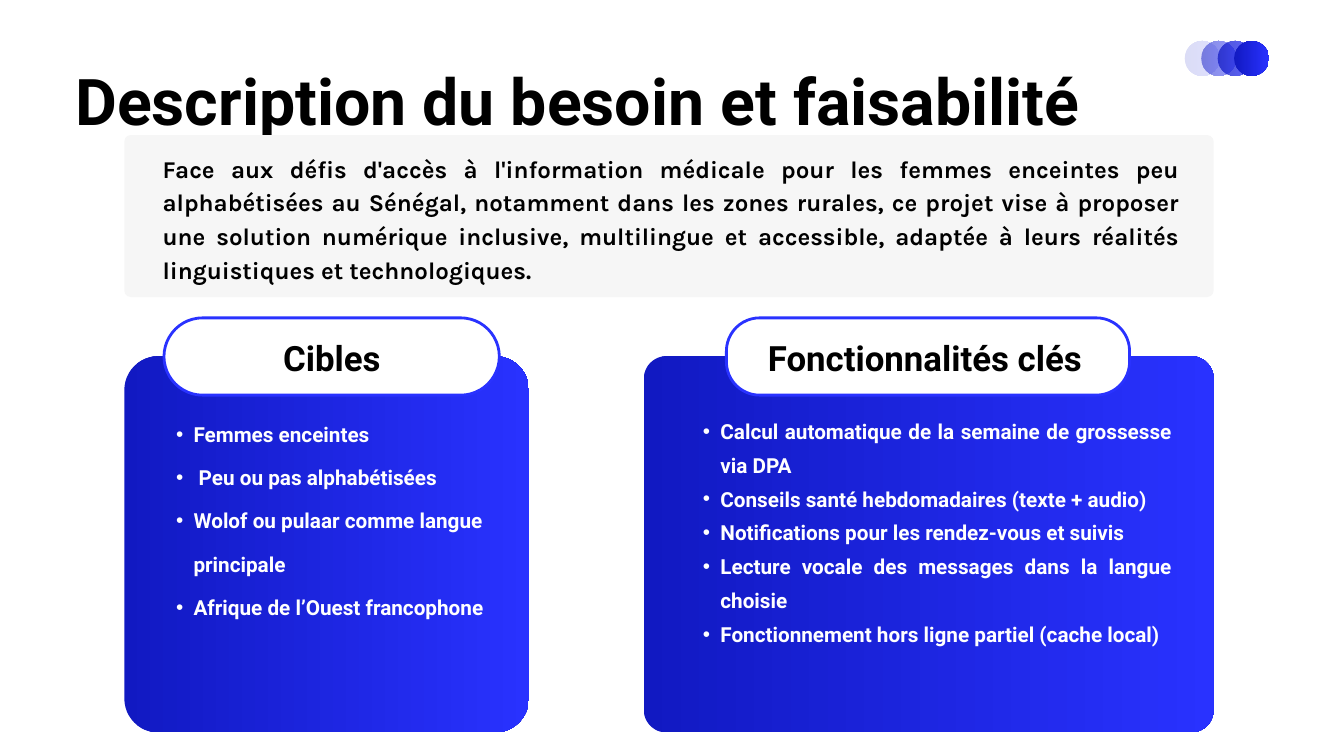
from lxml.etree import SubElement
from pptx import Presentation
from pptx.dml.color import RGBColor
from pptx.enum.shapes import MSO_SHAPE
from pptx.enum.text import MSO_ANCHOR, MSO_AUTO_SIZE, PP_ALIGN
from pptx.oxml.ns import qn
from pptx.util import Inches, Pt

HUES = {"navy": "1119C2", "blue": "2932FF", "white": "FFFFFF",
        "black": "000000", "grey": "F6F6F6"}


def draw(kind, box, hue=None, curve=None, alpha=100):
    """Add a shape with a flat fill, or the blue gradient if no hue is given."""
    shape = slide.shapes.add_shape(kind, *map(Inches, box))
    shape.shadow.inherit = False
    shape.line.fill.background()
    if curve is not None:
        shape.adjustments[0] = curve
    if hue:
        shape.fill.solid()
        shape.fill.fore_color.rgb = RGBColor.from_string(HUES[hue])
        return shape
    shape.fill.gradient()
    shape.fill.gradient_angle = 0
    for stop, name in zip(shape.fill.gradient_stops, ("navy", "blue")):
        stop.color.rgb = RGBColor.from_string(HUES[name])
    if alpha < 100:
        for color in shape.element.iter(qn("a:srgbClr")):
            SubElement(color, qn("a:alpha"), val=str(alpha * 1000))
    return shape


def write(shape, box, lines, size, space, face="Roboto", hue="black",
          align=PP_ALIGN.LEFT, mark=None):
    """Place a text holder and fill it with bold lines, bulleted if asked."""
    places = zip(("left", "top", "width", "height"), map(Inches, box))
    for name, value in places:
        setattr(shape, name, value)
    frame = shape.text_frame
    layout = {"margin_left": 0, "margin_top": 0, "margin_right": 0,
              "margin_bottom": 0, "word_wrap": True,
              "auto_size": MSO_AUTO_SIZE.NONE, "vertical_anchor": MSO_ANCHOR.TOP}
    for name, value in layout.items():
        setattr(frame, name, value)
    for n, line in enumerate(lines):
        para = frame.add_paragraph() if n else frame.paragraphs[0]
        form = {"alignment": align, "line_spacing": Pt(space),
                "space_before": Pt(0), "space_after": Pt(0)}
        for name, value in form.items():
            setattr(para, name, value)
        if mark:
            props = para._p.get_or_add_pPr()
            props.set("marL", str(Inches(0.52)))
            props.set("indent", str(Inches(-0.26)))
            SubElement(props, qn("a:buChar"), char=mark)
        run = para.add_run()
        run.text = line
        for name, value in {"name": face, "size": Pt(size), "bold": True}.items():
            setattr(run.font, name, value)
        run.font.color.rgb = RGBColor.from_string(HUES[hue])


deck = Presentation()
deck.slide_width, deck.slide_height = Inches(20), Inches(11.25)
slide = deck.slides.add_slide(deck.slide_layouts[3])  # title and two lists
title, *lists = slide.placeholders

# Title, with the row of fading dots
write(title, (1.12, 0.72, 17.75, 1.29), ["Description du besoin et faisabilité"],
      69, 96.6)
for n, alpha in enumerate((15, 50, 75, 100)):
    draw(MSO_SHAPE.OVAL, (17.63 + n * 0.245, 0.61, 0.52, 0.52), alpha=alpha)

# Summary panel
draw(MSO_SHAPE.ROUNDED_RECTANGLE, (1.85, 2.01, 16.21, 2.41), "grey", 0.04)
summary = (
    "Face aux défis d'accès à l'information médicale pour les femmes enceintes "
    "peu alphabétisées au Sénégal, notamment dans les zones rurales, ce projet "
    "vise à proposer une solution numérique inclusive, multilingue et "
    "accessible, adaptée à leurs réalités linguistiques et technologiques.")
write(slide.shapes.add_textbox(0, 0, 0, 0), (2.42, 2.22, 15.13, 1.98), [summary],
      25.8, 36.1, "Karla", align=PP_ALIGN.JUSTIFY)

# Cards: each has a blue body, a white pill with its heading, and a list
cards = [
    {"head": "Cibles",
     "card": (1.85, 6.02, 0.09), "pill": (2.44, 4.99, 0.5), "label": (2.84, 4.2),
     "list": (2.36, 6, 5.2, 4.38), "space": 46.4, "align": PP_ALIGN.LEFT,
     "lines": ["Femmes enceintes",
               " Peu ou pas alphabétisées",
               "Wolof ou pulaar comme langue principale",
               "Afrique de l’Ouest francophone"]},
    {"head": "Fonctionnalités clés",
     "card": (9.58, 8.48, 0.06), "pill": (10.81, 6, 0.43), "label": (11, 5.53),
     "list": (10.2, 6.1, 7.24, 4.92), "space": 36.2, "align": PP_ALIGN.JUSTIFY,
     "lines": ["Calcul automatique de la semaine de grossesse via DPA",
               "Conseils santé hebdomadaires (texte + audio)",
               "Notifications pour les rendez-vous et suivis",
               "Lecture vocale des messages dans la langue choisie",
               "Fonctionnement hors ligne partiel (cache local)"]},
]
for card, body in zip(cards, lists):
    left, width, curve = card["card"]
    draw(MSO_SHAPE.ROUNDED_RECTANGLE, (left, 5.3, width, 5.6), curve=curve)

    left, width, curve = card["pill"]
    pill = draw(MSO_SHAPE.ROUNDED_RECTANGLE, (left, 4.73, width, 1.15),
                "white", curve)
    pill.line.color.rgb = RGBColor.from_string(HUES["blue"])
    pill.line.width = Pt(3)

    left, width = card["label"]
    write(slide.shapes.add_textbox(0, 0, 0, 0), (left, 4.91, width, 0.7),
          [card["head"]], 37.3, 52.2, align=PP_ALIGN.CENTER)

    write(body, card["list"], card["lines"], 22.2, card["space"], hue="white",
          align=card["align"], mark="•")
    slide.shapes._spTree.append(body.element)  # bring in front of its card

deck.save("out.pptx")
